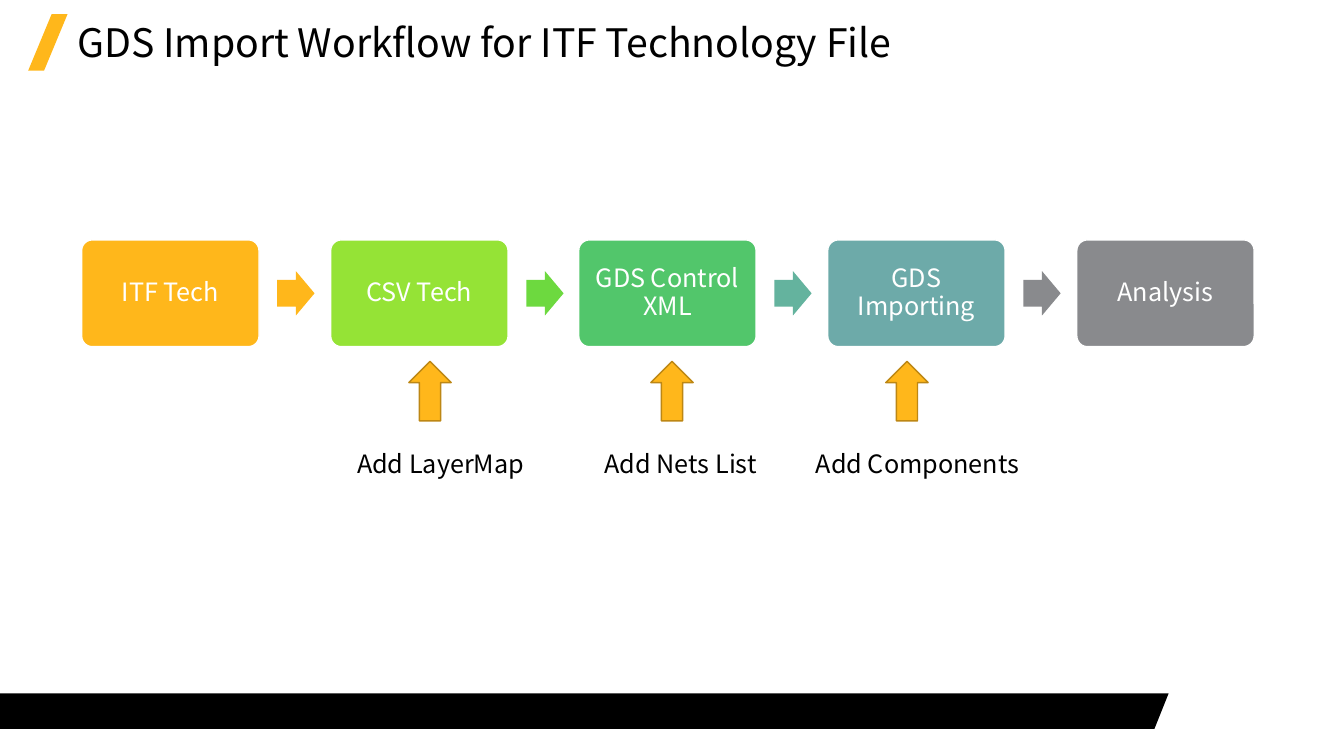
from dataclasses import dataclass
from pptx import Presentation as Deck
from pptx.dml.color import RGBColor as Rgb
from pptx.enum.shapes import MSO_SHAPE as Kind
from pptx.enum.text import MSO_ANCHOR as Anchor, PP_ALIGN as Align
from pptx.util import Pt

SCALE = 9144


@dataclass(frozen=True)
class Theme:
    font: str = "Noto Sans CJK SC"
    head: int = 28
    body: int = 18
    black: str = "000000"
    white: str = "FFFFFF"
    gold: str = "FFB71B"
    edge: str = "BD8714"
    lime: str = "95E336"
    leaf: str = "6DD93F"
    green: str = "52C66B"
    sea: str = "64B39E"
    teal: str = "6DAAA9"
    gray: str = "898A8D"


LOOK = Theme()
STEPS = [
    ("ITF Tech", LOOK.gold, LOOK.gold),
    ("CSV Tech", LOOK.lime, LOOK.leaf),
    ("GDS Control XML", LOOK.green, LOOK.sea),
    ("GDS Importing", LOOK.teal, LOOK.gray),
    ("Analysis", LOOK.gray, None),
]
INPUTS = [
    ("Add LayerMap", 397, 321),
    ("Add Nets List", 637, 559),
    ("Add Components", 870, 794),
]


def px(*sizes):
    return [round(size * SCALE) for size in sizes]


def apply(item, values):
    for name, value in values.items():
        setattr(item, name, value)


def paint(shape, fill, line=None):
    shape.shadow.inherit = False
    shape.fill.solid()
    shape.fill.fore_color.rgb = Rgb.from_string(fill)
    if line:
        shape.line.color.rgb = Rgb.from_string(line)
        shape.line.width = Pt(1)
    else:
        shape.line.fill.background()


def write(shape, text, size, color, para, frame):
    block = shape.text_frame
    apply(block, {"word_wrap": True, **frame})
    first = block.paragraphs[0]
    apply(first, para)
    run = first.add_run()
    run.text = text
    apply(run.font, {"name": LOOK.font, "size": Pt(size)})
    run.font.color.rgb = Rgb.from_string(color)


def draw(slide, kind, place, fill, line=None, adjust=(), turn=0):
    shape = slide.shapes.add_shape(kind, *px(*place))
    for index, value in enumerate(adjust):
        shape.adjustments[index] = value
    shape.rotation = turn
    paint(shape, fill, line)
    return shape


def label(slide, place, text, size, para, frame):
    box = slide.shapes.add_textbox(*px(*place))
    write(box, text, size, LOOK.black, para, frame)


def footer(slide):
    pen = slide.shapes.build_freeform(0, 688, scale=SCALE)
    pen.add_line_segments([(1159, 688), (1145, 723), (0, 723)], close=True)
    paint(pen.convert_to_shape(), LOOK.black)


def header(slide):
    draw(slide, Kind.PARALLELOGRAM, (28, 14, 39, 56), LOOK.gold, adjust=[0.596])
    label(slide, (67, 16, 1200, 56), "GDS Import Workflow for ITF Technology File",
          LOOK.head, {"line_spacing": 0.9}, {"vertical_anchor": Anchor.MIDDLE})


def flow(slide):
    inset = px(7)[0]
    sides = ("left", "top", "right", "bottom")
    frame = {f"margin_{side}": inset for side in sides}
    frame["vertical_anchor"] = Anchor.MIDDLE
    para = {"alignment": Align.CENTER, "line_spacing": 0.9}
    for index, (text, fill, tip) in enumerate(STEPS):
        left = round(81 + index * 246.75)
        box = draw(slide, Kind.ROUNDED_RECTANGLE, (left, 238, 176, 106),
                   fill, LOOK.white, [0.1])
        write(box, text, LOOK.body, LOOK.white, para, frame)
        if tip:
            draw(slide, Kind.RIGHT_ARROW, (left + 194, 269, 37, 44),
                 tip, adjust=[0.6, 0.5])


def inputs(slide):
    for text, tip, left in INPUTS:
        draw(slide, Kind.RIGHT_ARROW, (tip, 367, 59, 42),
             LOOK.gold, LOOK.edge, turn=270)
        label(slide, (left, 440, 232, 40), text, LOOK.body,
              {"alignment": Align.CENTER}, {})


def main():
    deck = Deck()
    wide, high = px(1333, 750)
    apply(deck, {"slide_width": wide, "slide_height": high})
    slide = deck.slides.add_slide(deck.slide_layouts[6])
    for part in (footer, header, flow, inputs):
        part(slide)
    deck.save("out.pptx")


if __name__ == "__main__":
    main()
